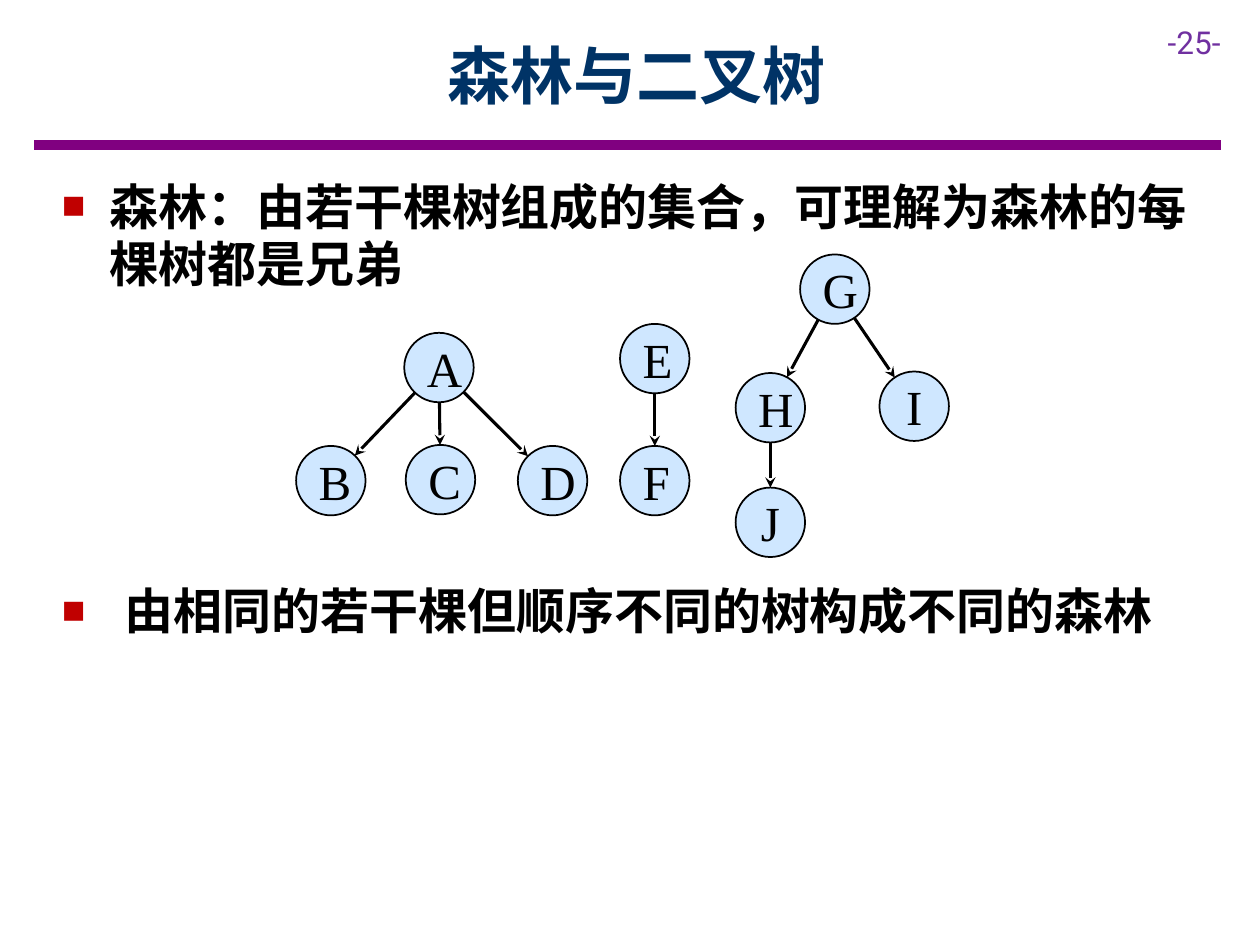
from math import hypot

from lxml import etree
from pptx import Presentation
from pptx.dml.color import RGBColor
from pptx.enum.shapes import MSO_CONNECTOR, MSO_SHAPE
from pptx.enum.text import MSO_ANCHOR, PP_ALIGN
from pptx.oxml.ns import qn
from pptx.util import Cm, Pt

LINE, OVAL = MSO_CONNECTOR.STRAIGHT, MSO_SHAPE.OVAL
MID, TOP = MSO_ANCHOR.MIDDLE, MSO_ANCHOR.TOP
LEFT, MIDDLE = PP_ALIGN.LEFT, PP_ALIGN.CENTER
HAN, SANS, SERIF = "Noto Sans CJK SC", "Roboto", "Times New Roman"
SIZE = 1.4  # node diameter, cm

# Node: left and top within the forest, cm
NODES = {
    "A": (2.18, 1.58), "B": (0, 3.86), "C": (2.21, 3.84), "D": (4.47, 3.86),
    "E": (6.53, 1.4), "F": (6.53, 3.86),
    "G": (10.16, 0), "H": (8.86, 2.39), "I": (11.76, 2.36), "J": (8.86, 4.7),
}
EDGES = ["AB", "AC", "AD", "EF", "GH", "GI", "HJ"]
POINTS = [
    ("森林：由若干棵树组成的集合，可理解为森林的每棵树都是兄弟", 0.96, 0),
    ("由相同的若干棵但顺序不同的树构成不同的森林", 1.27, 159),
]


def color(code):
    return RGBColor.from_string(code)


def add(node, tag, **attrs):
    return etree.SubElement(node, qn(tag), attrs)


def style(run, face, size, code, bold=False):
    look = {"name": face, "size": Pt(size), "bold": bold}
    for key, value in look.items():
        setattr(run.font, key, value)
    run.font.color.rgb = color(code)
    add(run.font._element, "a:ea", typeface=face)


def frame(shape, anchor):
    text = shape.text_frame
    text.word_wrap = True
    text.vertical_anchor = anchor
    return text


def label(slide, box, words, look, align=LEFT, anchor=TOP):
    text = frame(slide.shapes.add_textbox(*map(Cm, box)), anchor)
    para = text.paragraphs[0]
    para.alignment = align
    run = para.add_run()
    run.text = words
    style(run, *look)


def line(slide, ends, code, width):
    rule = slide.shapes.add_connector(LINE, *map(Cm, ends))
    rule.line.color.rgb = color(code)
    rule.line.width = Pt(width)
    add(rule._element.spPr, "a:effectLst")
    return rule


def header(slide, box):
    x, y, wide, high = box
    line(slide, (x, y + high, x + wide, y + high), "800080", 6)
    label(slide, (x + 22.6, y, 2.1, 1.02), "-25-", (SANS, 18, "7030A0"))
    label(slide, (x + 1.6, y - 0.1, 21.1, 2.54), "森林与二叉树",
          (HAN, 36, "003366", True), MIDDLE, MID)


def bullet(para, indent):
    props = para._p.get_or_add_pPr()
    props.set("marL", str(Cm(indent)))
    props.set("indent", str(-Cm(indent)))
    add(add(props, "a:buClr"), "a:srgbClr", val="C00000")
    add(props, "a:buSzPct", val="80000")
    add(props, "a:buFont", typeface=SERIF)
    add(props, "a:buChar", char="■")


def body(slide, box):
    text = frame(slide.shapes.add_textbox(*map(Cm, box)), TOP)
    for num, (words, indent, gap) in enumerate(POINTS):
        para = text.add_paragraph() if num else text.paragraphs[0]
        form = {"line_spacing": Pt(33), "space_before": Pt(gap),
                "space_after": Pt(6)}
        for key, value in form.items():
            setattr(para, key, value)
        bullet(para, indent)
        run = para.add_run()
        run.text = words
        style(run, HAN, 28, "000000", True)


def node(slide, x, y, name):
    disc = slide.shapes.add_shape(OVAL, Cm(x), Cm(y), Cm(SIZE), Cm(SIZE))
    disc.shadow.inherit = False
    disc.fill.solid()
    disc.fill.fore_color.rgb = color("99CCFF")
    tint = disc._element.spPr.find(qn("a:solidFill"))[0]
    add(tint, "a:alpha", val="47000")
    disc.line.color.rgb = color("000000")
    disc.line.width = Pt(1)
    text = frame(disc, MID)
    for side in ("left", "top", "right", "bottom"):
        setattr(text, "margin_" + side, Cm(0.25))
    para = text.paragraphs[0]
    para.alignment = MIDDLE
    run = para.add_run()
    run.text = name
    style(run, SERIF, 28, "000000")


def edge(slide, start, end):
    # Runs from rim to rim along the line of centres
    (x1, y1), (x2, y2) = start, end
    part = SIZE / 2 / hypot(x2 - x1, y2 - y1)
    dx, dy = (x2 - x1) * part, (y2 - y1) * part
    arrow = line(slide, (x1 + dx, y1 + dy, x2 - dx, y2 - dy), "000000", 1.75)
    add(arrow.line._get_or_add_ln(), "a:tailEnd", type="stealth")


def forest(slide, box):
    left, top = box
    spots = {name: (left + x, top + y) for name, (x, y) in NODES.items()}
    mids = {name: (x + SIZE / 2, y + SIZE / 2)
            for name, (x, y) in spots.items()}
    for name, (x, y) in spots.items():
        node(slide, x, y, name)
    for up, down in EDGES:
        edge(slide, mids[up], mids[down])


def main():
    deck = Presentation()
    deck.slide_width, deck.slide_height = Cm(25.4), Cm(19.05)
    slide = deck.slides.add_slide(deck.slide_layouts[6])
    header(slide, (0.69, 0.33, 23.92, 2.59))
    body(slide, (1, 3.45, 23.7, 11))
    forest(slide, (5.97, 5.13))
    deck.save("out.pptx")


if __name__ == "__main__":
    main()
